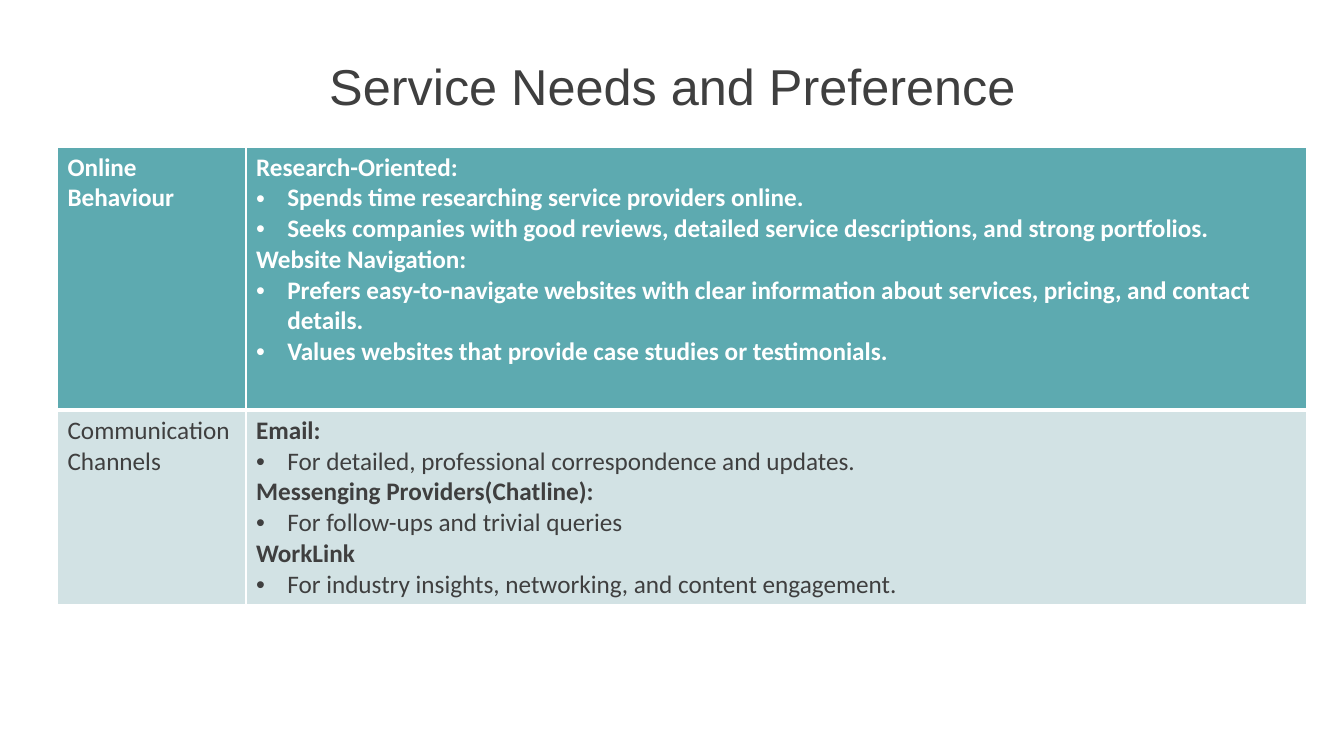
from lxml.etree import SubElement
from pptx import Presentation
from pptx.dml.color import RGBColor
from pptx.enum.text import MSO_ANCHOR, PP_ALIGN
from pptx.oxml.ns import qn
from pptx.util import Inches, Pt

TITLE = "Service Needs and Preference"
WHITE, INK, TEAL, PALE = "FFFFFF", "3F3F3F", "5DAAB0", "D2E2E4"
ROWS = [
    {"label": "Online Behaviour", "fill": TEAL, "color": WHITE, "bold": True,
     "height": 2.61, "bottom": 3,
     "groups": [
         ("Research-Oriented:", [
             "Spends time researching service providers online.",
             "Seeks companies with good reviews, detailed service descriptions, and strong portfolios."]),
         ("Website Navigation:", [
             "Prefers easy-to-navigate websites with clear information about services, pricing, and contact details.",
             "Values websites that provide case studies or testimonials."])]},
    {"label": "Communication Channels", "fill": PALE, "color": INK, "bold": False,
     "height": 1.93, "bottom": 1,
     "groups": [
         ("Email:", ["For detailed, professional correspondence and updates."]),
         ("Messenging Providers(Chatline):", ["For follow-ups and trivial queries"]),
         ("WorkLink", ["For industry insights, networking, and content engagement."])]},
]
WIDTH, HEIGHT = 13.33, 7.5
COLS = [1.87, 10.52]
LEFT, TOP = 0.57, 1.46
INDENT = Inches(0.31)


def rgb(value):
    return RGBColor.from_string(value)


def style(font, color, **values):
    for name, value in values.items():
        setattr(font, name, value)
    font.color.rgb = rgb(color)


def border(cell, widths):
    tcPr = cell._tc.get_or_add_tcPr()
    for side, width in zip("LRTB", widths):
        ln = SubElement(tcPr, qn(f"a:ln{side}"), w=str(Pt(width)))
        fill = SubElement(ln, qn("a:solidFill"))
        SubElement(fill, qn("a:srgbClr"), val=WHITE)


def write(cell, lines, color):
    tf = cell.text_frame
    for i, (text, bold, bullet) in enumerate(lines):
        p = tf.add_paragraph() if i else tf.paragraphs[0]
        if bullet:
            pPr = p._p.get_or_add_pPr()
            pPr.set("marL", str(INDENT))
            pPr.set("indent", str(-INDENT))
            SubElement(pPr, qn("a:buFont"), typeface="Arial")
            SubElement(pPr, qn("a:buChar"), char="•")
        r = p.add_run()
        r.text = text
        style(r.font, color, name="Calibri", size=Pt(18), bold=bold)


def main():
    prs = Presentation()
    prs.slide_width, prs.slide_height = Inches(WIDTH), Inches(HEIGHT)
    s = prs.slides.add_slide(prs.slide_layouts[5])

    title = s.shapes.title
    box = dict(left=3.14, top=0.49, width=7.06, height=0.71)
    for name, value in box.items():
        setattr(title, name, Inches(value))
    tf = title.text_frame
    tf.text = TITLE
    tf.word_wrap = True
    tf.vertical_anchor = MSO_ANCHOR.MIDDLE
    p = tf.paragraphs[0]
    p.alignment = PP_ALIGN.CENTER
    style(p.runs[0].font, INK, name="Arial", size=Pt(36))

    total = sum(row["height"] for row in ROWS)
    table = s.shapes.add_table(
        len(ROWS), len(COLS), Inches(LEFT), Inches(TOP),
        Inches(sum(COLS)), Inches(total)).table
    for column, width in zip(table.columns, COLS):
        column.width = Inches(width)
    for i, row in enumerate(ROWS):
        table.rows[i].height = Inches(row["height"])
        details = []
        for heading, points in row["groups"]:
            details.append((heading, True, False))
            details += [(point, row["bold"], True) for point in points]
        label = [(row["label"], row["bold"], False)]
        top = ROWS[i - 1]["bottom"] if i else 1
        for cell, lines in zip(table.rows[i].cells, (label, details)):
            border(cell, (1, 1, top, row["bottom"]))
            cell.fill.solid()
            cell.fill.fore_color.rgb = rgb(row["fill"])
            write(cell, lines, row["color"])

    prs.save("out.pptx")


if __name__ == "__main__":
    main()
